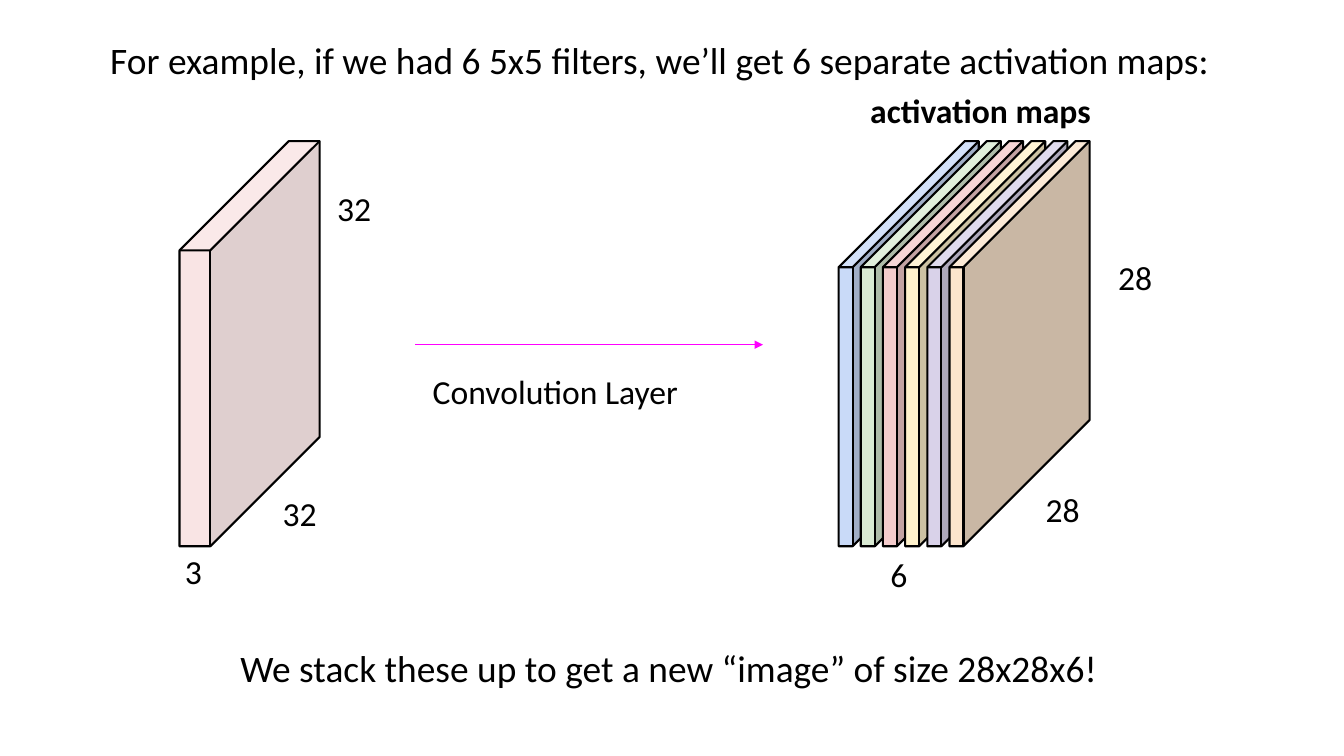
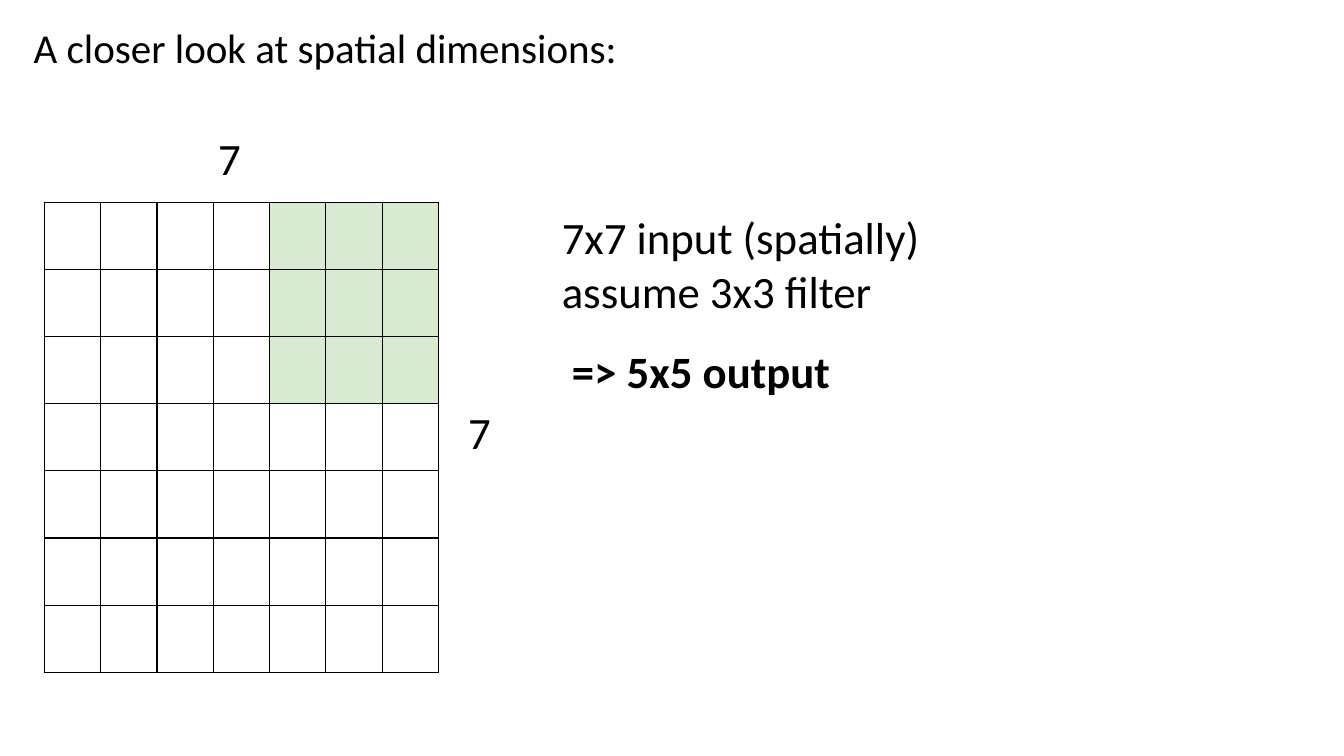
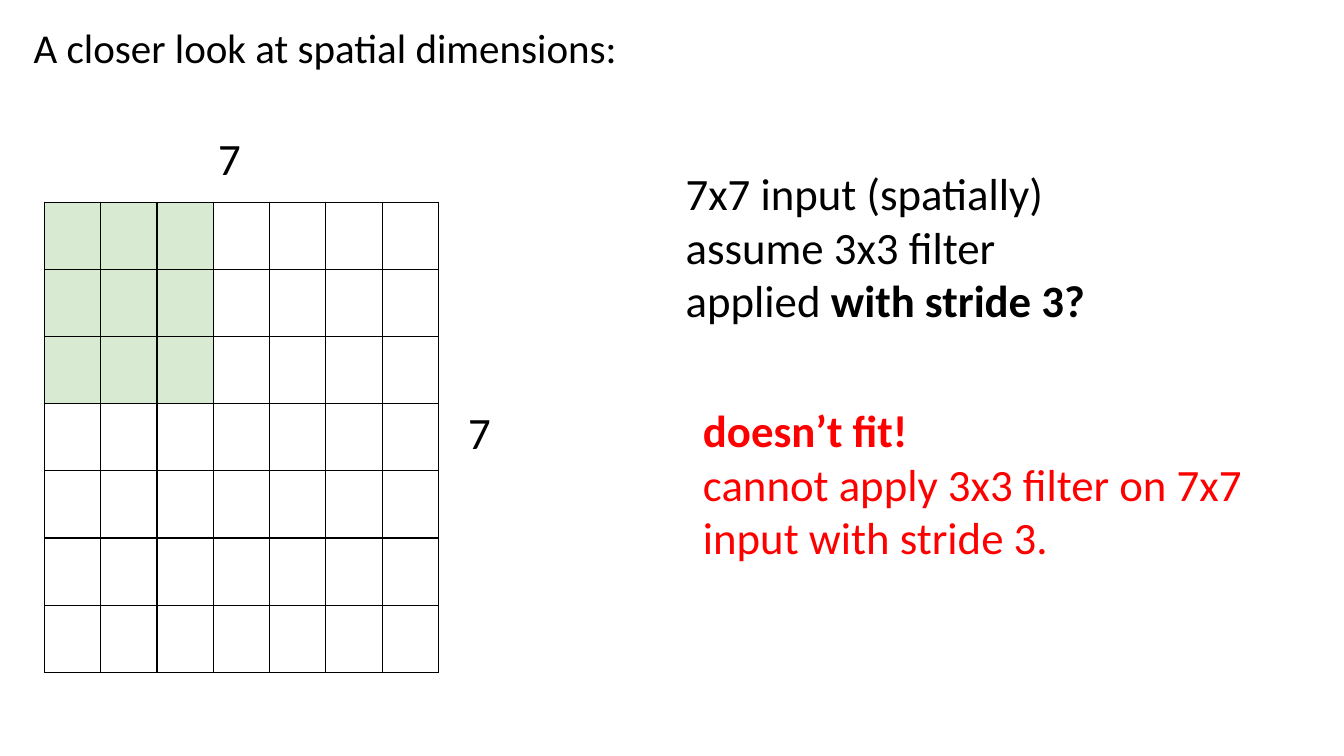
"""Build three slides on convolution layers and their spatial dimensions."""
from dataclasses import dataclass

from lxml import etree
from pptx import Presentation
from pptx.dml.color import RGBColor
from pptx.enum import shapes, text
from pptx.oxml import ns
from pptx.slide import Slide
from pptx.util import Pt

FONT = "Calibri"
BLACK = RGBColor(0x00, 0x00, 0x00)
RED = RGBColor(0xFF, 0x00, 0x00)
MAGENTA = RGBColor(0xFF, 0x00, 0xFF)
BLUE = RGBColor(0xC9, 0xDA, 0xF8)
GREEN = RGBColor(0xD9, 0xEA, 0xD3)
PINK = RGBColor(0xF4, 0xCC, 0xCC)
YELLOW = RGBColor(0xFF, 0xF2, 0xCC)
PURPLE = RGBColor(0xD9, 0xD2, 0xE9)
ORANGE = RGBColor(0xFC, 0xE5, 0xCD)

MAP_COLORS = (BLUE, GREEN, PINK, YELLOW, PURPLE, ORANGE)
MAP_LEFT, MAP_STEP = 599, 15.84
CUBE_TOP, CUBE_WIDTH, CUBE_HEIGHT = 100.8, 100.1, 289.4
MARGIN = 9.6
GRID_LEFT, GRID_TOP, GRID_COUNT = 31.8, 144.4, 7
CELL_WIDTH, CELL_HEIGHT = 40.2, 48
FILTER_SIZE = 3


@dataclass(frozen=True)
class Part:
    text: str
    bold: bool = False


@dataclass(frozen=True)
class Label:
    left: float
    top: float
    width: float
    height: float
    size: float
    paragraphs: tuple[tuple[Part, ...], ...]
    color: RGBColor = BLACK
    anchor: text.MSO_ANCHOR = text.MSO_ANCHOR.TOP


@dataclass(frozen=True)
class Cube:
    left: float
    depth: float
    color: RGBColor
    opacity: int = 100


@dataclass(frozen=True)
class GridSlide:
    filter_column: int
    labels: tuple[Label, ...]


def line_of(words: str, bold: bool = False) -> tuple[Part, ...]:
    return (Part(words, bold),)


INPUT_LINES = (line_of("7x7 input (spatially)"), line_of("assume 3x3 filter"))

CUBES = (
    Cube(128.2, 0.78, PINK, 52),
    *(Cube(MAP_LEFT + index * MAP_STEP, 0.9, color)
      for index, color in enumerate(MAP_COLORS)),
)

CONVOLUTION_LABELS = (
    Label(69.1, 16.6, 915.8, 40.3, 26.7, (line_of(
        "For example, if we had 6 5x5 filters, we’ll get 6 separate activation maps:"),)),
    Label(192.2, 342.7, 51.8, 32.4, 24, (line_of("32"),)),
    Label(231.1, 124.6, 51.8, 29.5, 24, (line_of("32"),)),
    Label(122.4, 383.8, 51.8, 19.4, 24, (line_of("3"),)),
    Label(299.5, 255.6, 343.4, 46.1, 24, (line_of("Convolution Layer"),)),
    Label(612, 54.7, 216.7, 56.9, 24, (line_of("activation maps", True),)),
    Label(626.4, 385.9, 34.6, 32.4, 24, (line_of("6"),)),
    Label(737.3, 339.8, 51.8, 32.4, 24, (line_of("28"),)),
    Label(789.1, 174.2, 51.8, 32.4, 24, (line_of("28"),)),
    Label(162, 451.4, 905.8, 29.5, 26.7, (line_of(
        "We stack these up to get a new “image” of size 28x28x6!"),)),
)

GRID_LABELS = (
    Label(14.4, 6.5, 879.1, 63.4, 29.3, (line_of("A closer look at spatial dimensions:"),)),
    Label(146.2, 83.5, 57.6, 48.2, 32, (line_of("7"),)),
    Label(324.7, 279.4, 61.9, 30.2, 32, (line_of("7"),)),
)

GRID_SLIDES = (
    GridSlide(4, (
        Label(391.7, 140.4, 537.1, 193, 32, INPUT_LINES),
        Label(398.9, 121, 314.6, 287.3, 32, (line_of("=> 5x5 output", True),),
              anchor=text.MSO_ANCHOR.MIDDLE),
    )),
    GridSlide(0, (
        Label(480.2, 108.7, 537.1, 193, 32,
              INPUT_LINES + ((Part("applied "), Part("with stride 3?", True)),)),
        Label(492.5, 277.9, 416.9, 128.2, 32, (
            line_of("doesn’t fit!", True),
            line_of("cannot apply 3x3 filter on 7x7 input with stride 3."),
        ), RED),
    )),
)


def draw_label(slide: Slide, label: Label) -> None:
    shape = slide.shapes.add_textbox(
        Pt(label.left), Pt(label.top), Pt(label.width), Pt(label.height))
    frame = shape.text_frame
    frame.word_wrap = True
    frame.vertical_anchor = label.anchor
    frame.margin_left = frame.margin_right = Pt(MARGIN)
    frame.margin_top = frame.margin_bottom = Pt(MARGIN)
    for index, parts in enumerate(label.paragraphs):
        paragraph = frame.add_paragraph() if index else frame.paragraphs[0]
        paragraph.font.name = FONT
        paragraph.font.size = Pt(label.size)
        paragraph.font.color.rgb = label.color
        if len(parts) == 1:
            paragraph.font.bold = parts[0].bold
        for part in parts:
            run = paragraph.add_run()
            run.text = part.text
            if len(parts) > 1:
                run.font.bold = part.bold


def draw_cube(slide: Slide, cube: Cube) -> None:
    shape = slide.shapes.add_shape(
        shapes.MSO_SHAPE.CUBE, Pt(cube.left), Pt(CUBE_TOP), Pt(CUBE_WIDTH), Pt(CUBE_HEIGHT))
    shape.adjustments[0] = cube.depth
    shape.shadow.inherit = False
    shape.fill.solid()
    shape.fill.fore_color.rgb = cube.color
    if cube.opacity < 100:
        color = shape.fill._xPr.find(ns.qn("a:solidFill"))[0]
        etree.SubElement(color, ns.qn("a:alpha"), val=str(cube.opacity * 1000))
    shape.line.color.rgb = BLACK
    shape.line.width = Pt(1.5)


def draw_arrow(slide: Slide, left: float, right: float, top: float) -> None:
    arrow = slide.shapes.add_connector(
        shapes.MSO_CONNECTOR.STRAIGHT, Pt(left), Pt(top), Pt(right), Pt(top))
    arrow.line.color.rgb = MAGENTA
    arrow.line.width = Pt(0.75)
    etree.SubElement(arrow.line._get_or_add_ln(), ns.qn("a:tailEnd"), type="triangle")
    etree.SubElement(arrow._element.spPr, ns.qn("a:effectLst"))


def draw_grid(slide: Slide, filter_column: int) -> None:
    table = slide.shapes.add_table(
        GRID_COUNT, GRID_COUNT, Pt(GRID_LEFT), Pt(GRID_TOP),
        Pt(GRID_COUNT * CELL_WIDTH), Pt(GRID_COUNT * CELL_HEIGHT)).table
    table.first_row = table.horz_banding = False
    for column in table.columns:
        column.width = Pt(CELL_WIDTH)
    for row_index, row in enumerate(table.rows):
        row.height = Pt(CELL_HEIGHT)
        for column_index, cell in enumerate(row.cells):
            properties = cell._tc.get_or_add_tcPr()
            for side in "LRTB":
                border = etree.SubElement(properties, ns.qn(f"a:ln{side}"), w=str(Pt(1)))
                fill = etree.SubElement(border, ns.qn("a:solidFill"))
                etree.SubElement(fill, ns.qn("a:srgbClr"), val=str(BLACK))
            if row_index < FILTER_SIZE and 0 <= column_index - filter_column < FILTER_SIZE:
                cell.fill.solid()
                cell.fill.fore_color.rgb = GREEN
            else:
                cell.fill.background()


def main() -> None:
    presentation = Presentation()
    presentation.slide_width, presentation.slide_height = Pt(960), Pt(540)
    blank = presentation.slide_layouts[6]

    slide = presentation.slides.add_slide(blank)
    for cube in CUBES:
        draw_cube(slide, cube)
    draw_arrow(slide, 296.6, 545, 246.2)
    for label in CONVOLUTION_LABELS:
        draw_label(slide, label)

    for grid_slide in GRID_SLIDES:
        slide = presentation.slides.add_slide(blank)
        draw_grid(slide, grid_slide.filter_column)
        for label in GRID_LABELS + grid_slide.labels:
            draw_label(slide, label)

    presentation.save("out.pptx")


if __name__ == "__main__":
    main()
